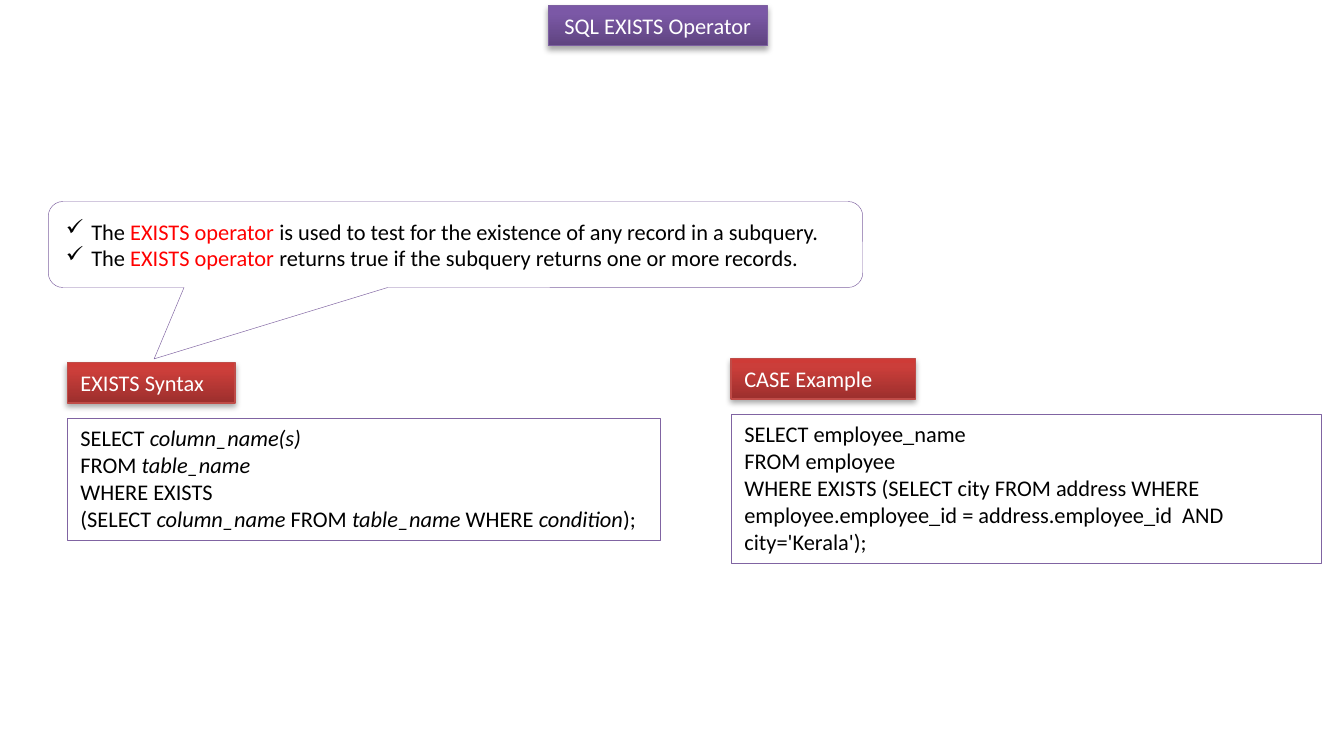
from copy import deepcopy

from lxml import etree
from pptx import Presentation
from pptx.dml.color import RGBColor
from pptx.enum.shapes import MSO_SHAPE
from pptx.enum.text import MSO_ANCHOR, MSO_AUTO_SIZE, PP_ALIGN
from pptx.oxml.ns import qn
from pptx.util import Pt

PX = 9144  # EMU per px, 100 px to the inch
RECTANGLE = MSO_SHAPE.RECTANGLE
CALLOUT = MSO_SHAPE.ROUNDED_RECTANGULAR_CALLOUT
TOP, MIDDLE = MSO_ANCHOR.TOP, MSO_ANCHOR.MIDDLE
LEFT, CENTER = PP_ALIGN.LEFT, PP_ALIGN.CENTER

FONT = "Calibri"
FONT_SIZE = Pt(12)
WHITE = RGBColor(0xFF, 0xFF, 0xFF)
BLACK = RGBColor(0x00, 0x00, 0x00)
RED = RGBColor(0xFF, 0x00, 0x00)
OUTLINE = RGBColor(0x80, 0x64, 0xA2)
PURPLE_LINE = RGBColor(0x7D, 0x60, 0xA0)
PURPLE_STOPS = (RGBColor(0x5F, 0x44, 0x80), RGBColor(0x7B, 0x58, 0xA6),
                RGBColor(0x7C, 0x57, 0xA8))
RED_LINE = RGBColor(0xBF, 0x4C, 0x48)
RED_STOPS = (RGBColor(0x9C, 0x2F, 0x2D), RGBColor(0xCB, 0x3E, 0x3A),
             RGBColor(0xCE, 0x3B, 0x37))
STOP_POSITIONS = (0, 0.8, 1)

HEADER_HEIGHT = 30
CODE_OFFSET = 41
BULLET_INDENT = 19

DEFINITION = [
    "The |EXISTS operator| is used to test for the existence of any record in a subquery.",
    "The |EXISTS operator| returns true if the subquery returns one or more records.",
]
SYNTAX = [
    "SELECT |column_name(s)",
    "FROM |table_name",
    "WHERE EXISTS",
    "(SELECT |column_name| FROM |table_name| WHERE |condition|);",
]
EXAMPLE = [
    "SELECT employee_name",
    "FROM employee",
    "WHERE EXISTS (SELECT city FROM address WHERE "
    "employee.employee_id = address.employee_id  AND city='Kerala');",
]


def place(shape, left, top, width, height):
    shape.left, shape.top = left * PX, top * PX
    shape.width, shape.height = width * PX, height * PX


def add_bullet(paragraph):
    properties = paragraph._p.get_or_add_pPr()
    properties.set("marL", str(BULLET_INDENT * PX))
    properties.set("indent", str(-BULLET_INDENT * PX))
    etree.SubElement(properties, qn("a:buChar")).set("char", "✓")


def write_lines(shape, lines, color=BLACK, accent=None, italic=False,
                anchor=TOP, align=LEFT, bulleted=False):
    """Write one paragraph a line; every second part between bars is emphasised."""
    frame = shape.text_frame
    frame.word_wrap = True
    frame.auto_size = MSO_AUTO_SIZE.NONE
    frame.vertical_anchor = anchor
    for index, line in enumerate(lines):
        paragraph = frame.add_paragraph() if index else frame.paragraphs[0]
        paragraph.alignment = align
        if bulleted:
            add_bullet(paragraph)
        for part, text in enumerate(line.split("|")):
            emphasised = part % 2 == 1
            run = paragraph.add_run()
            run.text = text
            run.font.name = FONT
            run.font.size = FONT_SIZE
            run.font.italic = italic and emphasised
            run.font.color.rgb = accent if accent and emphasised else color


def style_glossy(shape, stops, line_color):
    """Give a shape a vertical gradient, a thin line and a soft shadow."""
    shape.fill.gradient()
    shape.fill.gradient_angle = 90
    stop_list = shape._element.spPr.find(".//" + qn("a:gsLst"))
    stop_list.insert(1, deepcopy(stop_list[0]))
    for stop, position, color in zip(shape.fill.gradient_stops, STOP_POSITIONS, stops):
        stop.position = position
        stop.color.rgb = color
    shape.line.color.rgb = line_color
    shape.line.width = Pt(0.75)
    shape.shadow.inherit = False
    effects = shape._element.spPr.find(qn("a:effectLst"))
    shadow = etree.SubElement(effects, qn("a:outerShdw"), blurRad="40000",
                              dist="23000", dir="5400000", rotWithShape="0")
    shadow_color = etree.SubElement(shadow, qn("a:srgbClr"), val="000000")
    etree.SubElement(shadow_color, qn("a:alpha"), val="35000")


def add_outlined(slide, kind, left, top, width, height):
    shape = slide.shapes.add_shape(kind, 0, 0, 0, 0)
    place(shape, left, top, width, height)
    shape.shadow.inherit = False
    shape.fill.solid()
    shape.fill.fore_color.rgb = WHITE
    shape.line.color.rgb = OUTLINE
    shape.line.width = Pt(0.25)
    return shape


def add_title(slide, left, top, width, height):
    title = slide.shapes.title
    place(title, left, top, width, height)
    style_glossy(title, PURPLE_STOPS, PURPLE_LINE)
    write_lines(title, ["SQL EXISTS Operator"], WHITE, align=CENTER)


def add_definition(slide, left, top, width, height):
    callout = add_outlined(slide, CALLOUT, left, top, width, height)
    for index, value in enumerate((-0.37, 1.33, 0.17)):
        callout.adjustments[index] = value
    write_lines(callout, DEFINITION, accent=RED, anchor=MIDDLE, bulleted=True)


def add_code_panel(slide, left, top, width, height, heading, heading_width, lines):
    code = add_outlined(slide, RECTANGLE, left, top + CODE_OFFSET,
                        width, height - CODE_OFFSET)
    write_lines(code, lines, italic=True)
    header = slide.shapes.add_shape(RECTANGLE, 0, 0, 0, 0)
    place(header, left, top, heading_width, HEADER_HEIGHT)
    style_glossy(header, RED_STOPS, RED_LINE)
    write_lines(header, [heading], WHITE)


def main():
    presentation = Presentation()
    presentation.slide_width, presentation.slide_height = 1000 * PX, 550 * PX
    slide = presentation.slides.add_slide(presentation.slide_layouts[5])
    add_title(slide, 408, 4, 163, HEADER_HEIGHT)
    add_code_panel(slide, 50, 270, 441, 132, "EXISTS Syntax", 125, SYNTAX)
    add_definition(slide, 36, 150, 606, 64)
    add_code_panel(slide, 544, 267, 439, 152, "CASE Example", 137, EXAMPLE)
    presentation.save("out.pptx")


if __name__ == "__main__":
    main()
